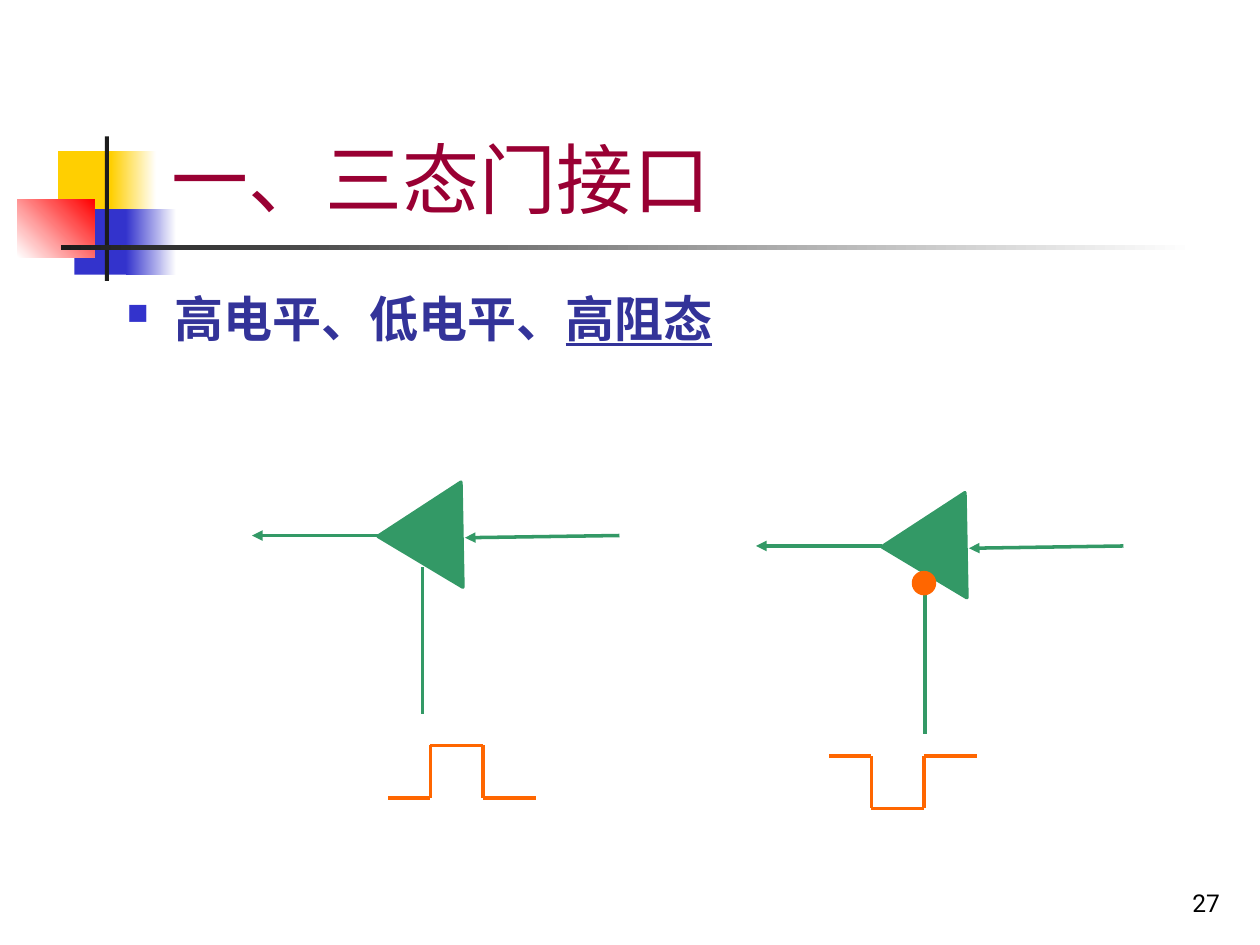
import itertools
from dataclasses import dataclass

import pptx
import pptx.dml.color
import pptx.enum.shapes
import pptx.enum.text
import pptx.oxml
import pptx.oxml.ns
import pptx.util

Pt = pptx.util.Pt
SHAPE = pptx.enum.shapes.MSO_SHAPE
ALIGN = pptx.enum.text.PP_ALIGN
ANCHOR = pptx.enum.text.MSO_ANCHOR
FONT = "Roboto"
GREEN, ORANGE, YELLOW, BLUE = "339966", "FF6600", "FFCF01", "3333CC"
WHITE, DARK, RED = "FFFFFF", "1C1C1C", "FF0000"


@dataclass
class Block:
    left: float
    top: float
    width: float
    height: float
    start: str
    end: str = ""
    angle: float = 0


@dataclass
class Gate:
    left: float
    top: float
    control_x: float
    control_top: float
    inverted: bool


@dataclass
class Pulse:
    left: float
    rise: float
    base: float
    level: float


BLOCKS = [
    Block(33.2, 86.4, 34.6, 37.4, YELLOW),
    Block(63.4, 86.4, 25.9, 37.4, YELLOW, WHITE),
    Block(42.5, 119.5, 33.1, 37.4, BLUE),
    Block(72, 119.5, 28.8, 37.4, BLUE, WHITE),
    Block(10, 113.8, 44, 33.1, WHITE, RED, 45),
    Block(60, 78, 2.2, 82.6, DARK),
    Block(34.8, 140.2, 648, 2.4, DARK, WHITE),
]
GATES = [Gate(144, 306, 241.4, 324, False), Gate(432, 312, 528.5, 335.5, True)]
PULSES = [Pulse(222, 246, 456, 426), Pulse(474, 498, 432, 462)]


def rgb(value: str) -> pptx.dml.color.RGBColor:
    return pptx.dml.color.RGBColor.from_string(value)


def add_xml(parent, tag: str, **attributes: str):
    child = pptx.oxml.parse_xml(f"<a:{tag} {pptx.oxml.ns.nsdecls('a')}/>")
    for name, value in attributes.items():
        child.set(name, value)
    parent.append(child)
    return child


def draw_shape(slide, kind, left: float, top: float, width: float, height: float,
               color: str, outlined: bool = False):
    shape = slide.shapes.add_shape(kind, Pt(left), Pt(top), Pt(width), Pt(height))
    shape.shadow.inherit = False
    shape.fill.solid()
    shape.fill.fore_color.rgb = rgb(color)
    if outlined:
        shape.line.color.rgb = rgb(color)
        shape.line.width = Pt(2)
    else:
        shape.line.fill.background()
    return shape


def draw_block(slide, block: Block) -> None:
    shape = draw_shape(slide, SHAPE.RECTANGLE, block.left, block.top,
                       block.width, block.height, block.start)
    if block.end:
        shape.fill.gradient()
        shape.fill.gradient_angle = block.angle
        for stop, color in zip(shape.fill.gradient_stops, (block.start, block.end)):
            stop.color.rgb = rgb(color)


def draw_line(slide, start: tuple, end: tuple, color: str, arrow: bool = False) -> None:
    line = slide.shapes.add_connector(
        pptx.enum.shapes.MSO_CONNECTOR.STRAIGHT, *map(Pt, start + end))
    line.line.color.rgb = rgb(color)
    line.line.width = Pt(2)
    if arrow:
        add_xml(line.line._get_or_add_ln(), "headEnd", type="triangle")
    add_xml(line._element.spPr, "effectLst")


def draw_gate(slide, gate: Gate) -> None:
    x, y = gate.left, gate.top
    triangle = draw_shape(slide, SHAPE.ISOSCELES_TRIANGLE, x + 66, y - 24, 60, 48, GREEN, True)
    triangle.rotation = 268.9
    draw_line(slide, (x, y), (x + 72, y), GREEN, arrow=True)
    draw_line(slide, (x + 121.7, y + 1.3), (x + 210, y), GREEN, arrow=True)
    draw_line(slide, (gate.control_x, gate.control_top),
              (gate.control_x, gate.control_top + 84), GREEN)
    if gate.inverted:
        draw_shape(slide, SHAPE.OVAL, gate.control_x - 6.5, y + 15.2, 12, 12, ORANGE, True)


def draw_pulse(slide, pulse: Pulse) -> None:
    fall = pulse.rise + 30
    corners = [(pulse.left, pulse.base), (pulse.rise, pulse.base), (pulse.rise, pulse.level),
               (fall, pulse.level), (fall, pulse.base), (fall + 30, pulse.base)]
    for start, end in itertools.pairwise(corners):
        draw_line(slide, start, end, ORANGE)


def set_frame(box, anchor, align):
    frame = box.text_frame
    frame.word_wrap = True
    frame.auto_size = pptx.enum.text.MSO_AUTO_SIZE.NONE
    frame.vertical_anchor = anchor
    paragraph = frame.paragraphs[0]
    paragraph.alignment = align
    return paragraph


def add_run(paragraph, text: str, size: float, color: str,
            bold: bool = False, underline: bool = False) -> None:
    run = paragraph.add_run()
    run.text = text
    run.font.name = FONT
    run.font.size = Pt(size)
    run.font.bold = bold
    run.font.underline = underline
    run.font.color.rgb = rgb(color)


def main() -> None:
    deck = pptx.Presentation()
    deck.slide_width, deck.slide_height = Pt(720), Pt(540)
    slide = deck.slides.add_slide(deck.slide_layouts[5])

    # Corner decoration and rule
    for block in BLOCKS:
        draw_block(slide, block)

    # Page number
    page_number = slide.shapes.add_textbox(Pt(554.4), Pt(491.8), Pt(149.8), Pt(36))
    add_run(set_frame(page_number, ANCHOR.BOTTOM, ALIGN.RIGHT), "27", 14, "000000")

    # Title
    title = slide.shapes.title
    title.left, title.top, title.width, title.height = map(Pt, (90.7, 16.6, 613.4, 115.2))
    add_run(set_frame(title, ANCHOR.BOTTOM, ALIGN.LEFT), "一、三态门接口", 44, "990033")

    # The three output states
    states = slide.shapes.add_textbox(Pt(65.5), Pt(161.3), Pt(612), Pt(74.9))
    bullet = set_frame(states, ANCHOR.TOP, ALIGN.LEFT)
    properties = bullet._p.get_or_add_pPr()
    properties.set("marL", str(Pt(27)))
    properties.set("indent", str(Pt(-27)))
    add_xml(add_xml(properties, "buClr"), "srgbClr", val=BLUE)
    add_xml(properties, "buSzPct", val="60000")
    add_xml(properties, "buChar", char="■")
    add_run(bullet, "高电平、低电平、", 28, "333399", bold=True)
    add_run(bullet, "高阻态", 28, "333399", bold=True, underline=True)

    # Tri-state gates and their enable pulses
    for gate in GATES:
        draw_gate(slide, gate)
    for pulse in PULSES:
        draw_pulse(slide, pulse)

    deck.save("out.pptx")


if __name__ == "__main__":
    main()
